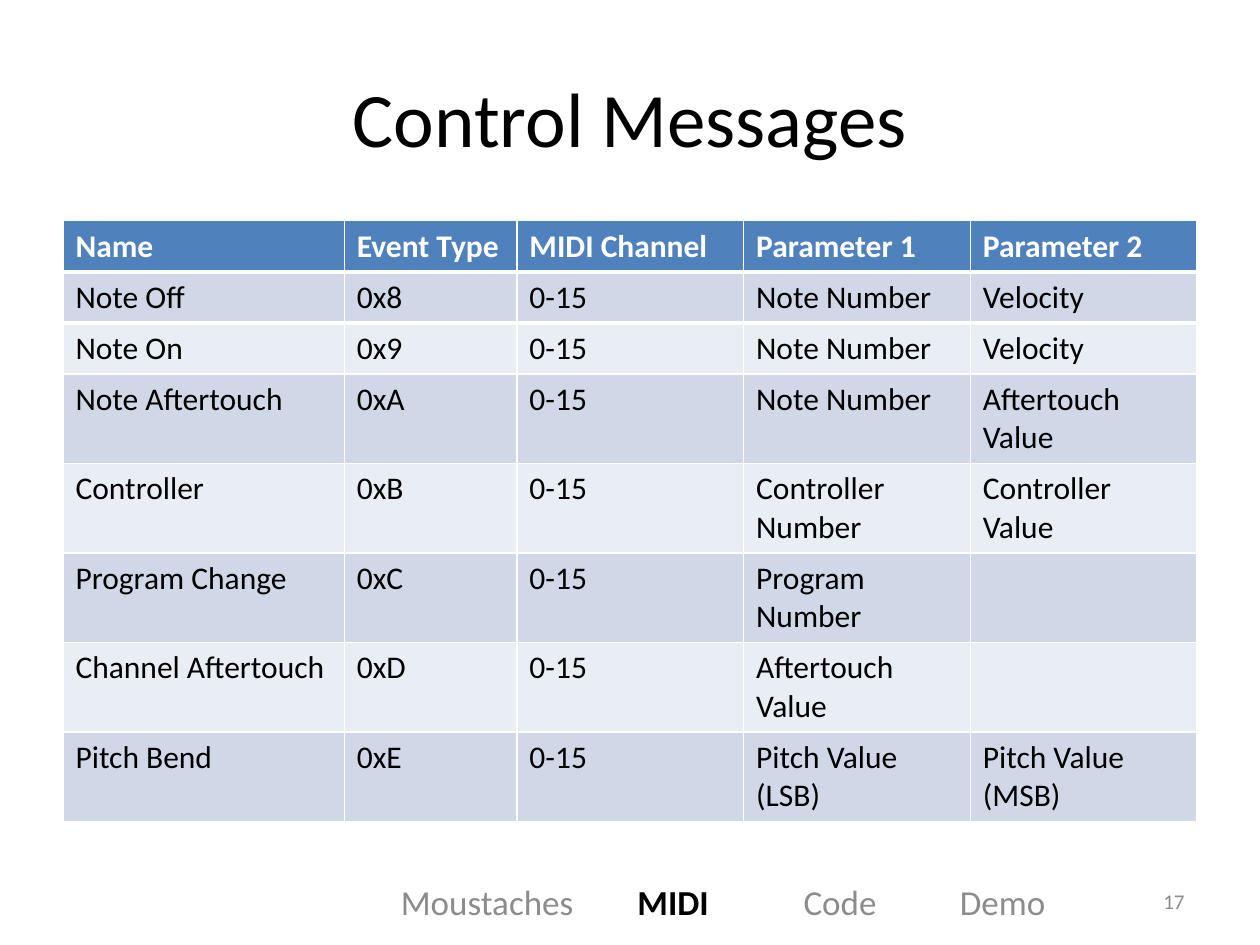
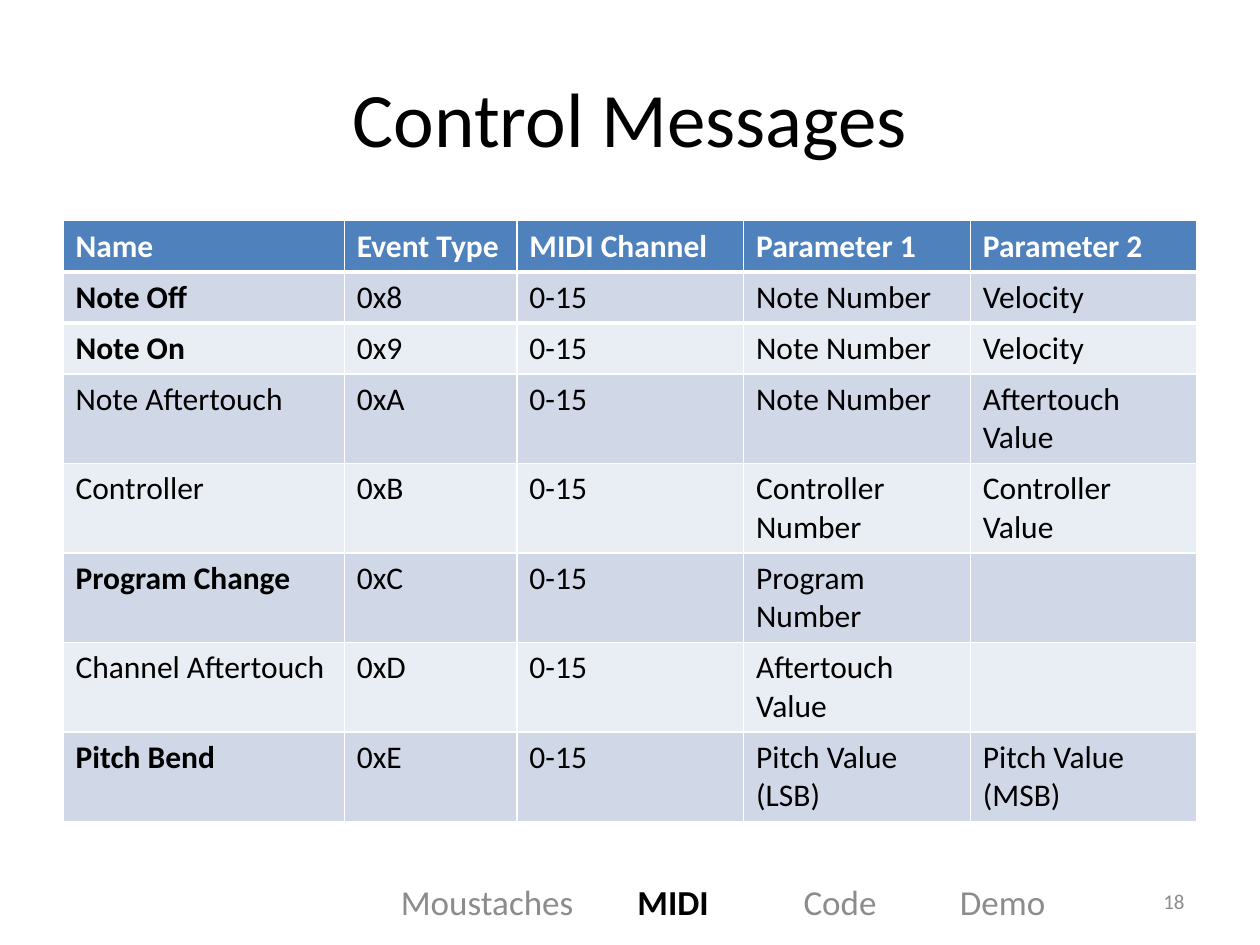
"""Build two slides that list the MIDI control messages."""
from dataclasses import dataclass

from lxml.etree import SubElement
from pptx import Presentation
from pptx.dml.color import RGBColor
from pptx.enum.text import MSO_ANCHOR, PP_ALIGN
from pptx.oxml.ns import qn
from pptx.util import Cm, Pt

TITLE = "Control Messages"
HEADER = ("Name", "Event Type", "MIDI Channel", "Parameter 1", "Parameter 2")
MESSAGES = [
    ("Note Off", "0x8", "0-15", "Note Number", "Velocity"),
    ("Note On", "0x9", "0-15", "Note Number", "Velocity"),
    ("Note Aftertouch", "0xA", "0-15", "Note Number", "Aftertouch Value"),
    ("Controller", "0xB", "0-15", "Controller Number", "Controller Value"),
    ("Program Change", "0xC", "0-15", "Program Number", ""),
    ("Channel Aftertouch", "0xD", "0-15", "Aftertouch Value", ""),
    ("Pitch Bend", "0xE", "0-15", "Pitch Value (LSB)", "Pitch Value (MSB)"),
]
SECTIONS = ("Moustaches", "MIDI", "Code", "Demo")
CURRENT = "MIDI"
SLIDES = [
    {"number": 17, "bold": ()},
    {"number": 18, "bold": ("Note Off", "Note On", "Program Change", "Pitch Bend")},
]


@dataclass(frozen=True)
class Theme:
    font: str = "Calibri"
    text: str = "000000"
    muted: str = "8C8C8C"
    light: str = "FFFFFF"
    header: str = "4F81BD"
    bands: tuple = ("D0D8E8", "E9EDF4")
    title_pt: int = 44
    section_pt: int = 20
    table_pt: int = 18
    number_pt: int = 12
    header_rule_pt: int = 3


THEME = Theme()
MARGIN, CONTENT_W = 1.27, 22.86
TITLE_BOX = (MARGIN, 0.76, CONTENT_W, 3.18)
TABLE_TOP, ROW_H = 4.45, 1.03
COLUMNS = (5.67, 3.48, 4.57, 4.57, 4.57)
FOOTER_TOP, FOOTER_H = 17.66, 1.02
SECTION_BOX = (7.34, FOOTER_TOP, 14.48, FOOTER_H)
NUMBER_BOX = (22.02, FOOTER_TOP, 2.11, FOOTER_H)
SECTION_INSET = 0.74
SECTION_TABS = (4.77, 8.12, 11.27)


def place(sp, box):
    for name, value in zip(("left", "top", "width", "height"), box):
        setattr(sp, name, Cm(value))


def add_run(p, text, size, color, bold=False):
    r = p.add_run()
    r.text = text
    for name, value in {"name": THEME.font, "size": Pt(size), "bold": bold}.items():
        setattr(r.font, name, value)
    r.font.color.rgb = RGBColor.from_string(color)


def add_title(s):
    sp = s.shapes.title
    place(sp, TITLE_BOX)
    sp.text_frame.vertical_anchor = MSO_ANCHOR.MIDDLE
    p = sp.text_frame.paragraphs[0]
    p.alignment = PP_ALIGN.CENTER
    add_run(p, TITLE, THEME.title_pt, THEME.text)


def add_border(cell, side, width):
    tc_pr = cell._tc.get_or_add_tcPr()
    line = SubElement(tc_pr, qn(f"a:{side}"), w=str(Pt(width)))
    tc_pr.insert(0, line)
    SubElement(SubElement(line, qn("a:solidFill")), qn("a:srgbClr"), val=THEME.light)


def add_messages(s, bold_names):
    rows = [HEADER, *MESSAGES]
    box = (MARGIN, TABLE_TOP, sum(COLUMNS), ROW_H * len(rows))
    table = s.shapes.add_table(len(rows), len(HEADER), *map(Cm, box)).table
    for column, width in zip(table.columns, COLUMNS):
        column.width = Cm(width)
    for i, row in enumerate(rows):
        table.rows[i].height = Cm(ROW_H)
        fill = THEME.bands[(i - 1) % 2] if i else THEME.header
        color = THEME.text if i else THEME.light
        for j, text in enumerate(row):
            cell = table.cell(i, j)
            cell.fill.solid()
            cell.fill.fore_color.rgb = RGBColor.from_string(fill)
            if i < 2:
                add_border(cell, "lnT" if i else "lnB", THEME.header_rule_pt)
            if text:
                bold = i == 0 or text in bold_names
                add_run(cell.text_frame.paragraphs[0], text, THEME.table_pt, color, bold)


def add_footer_box(s, box, align):
    tf = s.shapes.add_textbox(*map(Cm, box)).text_frame
    tf.word_wrap = True
    tf.vertical_anchor = MSO_ANCHOR.MIDDLE
    p = tf.paragraphs[0]
    p.alignment = align
    return tf, p


def add_sections(s):
    tf, p = add_footer_box(s, SECTION_BOX, PP_ALIGN.LEFT)
    tf.margin_left = Cm(SECTION_INSET)
    stops = SubElement(p._p.get_or_add_pPr(), qn("a:tabLst"))
    for tab in SECTION_TABS:
        SubElement(stops, qn("a:tab"), pos=str(Cm(tab)), algn="l")
    for i, section in enumerate(SECTIONS):
        active = section == CURRENT
        color = THEME.text if active else THEME.muted
        add_run(p, ("\t" if i else "") + section, THEME.section_pt, color, active)


def add_number(s, number):
    p = add_footer_box(s, NUMBER_BOX, PP_ALIGN.RIGHT)[1]
    add_run(p, str(number), THEME.number_pt, THEME.muted)


def main():
    prs = Presentation()
    prs.slide_width, prs.slide_height = Cm(25.4), Cm(19.05)
    for content in SLIDES:
        s = prs.slides.add_slide(prs.slide_layouts[5])
        add_title(s)
        add_messages(s, content["bold"])
        add_number(s, content["number"])
        add_sections(s)
    prs.save("out.pptx")


if __name__ == "__main__":
    main()
